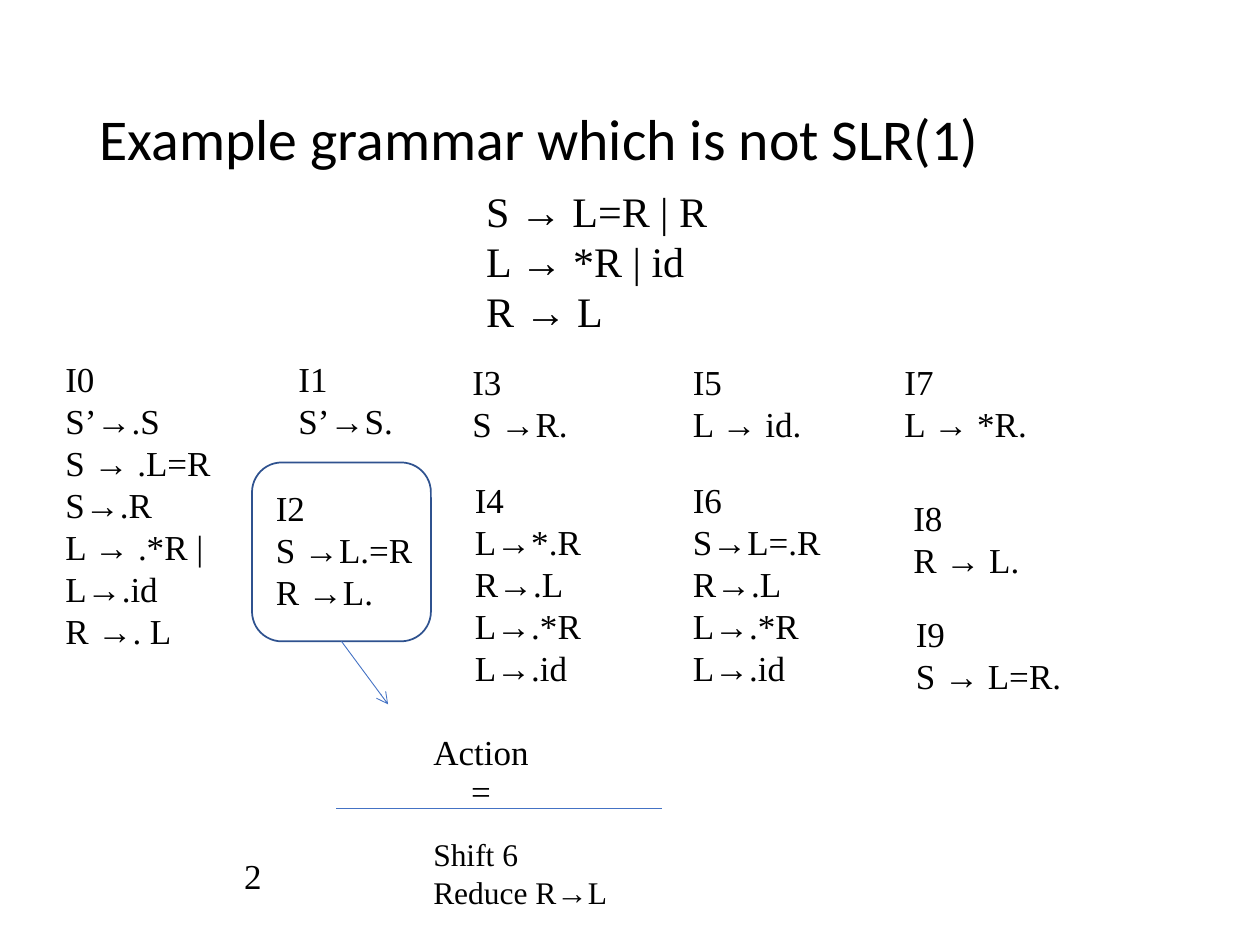
import pptx
import pptx.util
import pptx.dml.color
import pptx.enum.shapes
import pptx.enum.text
import pptx.oxml
import pptx.oxml.ns

WIDE, HIGH = 10, 7.5
COLS, ROWS = 100, 75
SLACK = 0.3
SERIF = "Times New Roman"
BLACK, BLUE, NAVY = "000000", "4472C4", "2F528F"

STATES = [
    (0, 0, 14.2, ["I0", "S’→.S", "S → .L=R", "S→.R", "L → .*R |", "L→.id", "R →. L"]),
    (18.5, 0, 9.5, ["I1", "S’→S."]),
    (16.7, 10.2, 13.5, ["I2", "S →L.=R", "R →L."]),
    (32.3, 0.2, 9.6, ["I3", "S →R."]),
    (32.5, 9.6, 10.4, ["I4", "L→*.R", "R→.L", "L→.*R", "L→.id"]),
    (49.8, 0.2, 10.7, ["I5", "L → id."]),
    (49.8, 9.6, 12.1, ["I6", "S→L=.R", "R→.L", "L→.*R", "L→.id"]),
    (66.6, 0.2, 11.8, ["I7", "L → *R."]),
    (67.3, 11, 10.4, ["I8", "R → L."]),
    (67.5, 20.2, 13.5, ["I9", "S → L=R."]),
]


def across(cols):
    return pptx.util.Inches(cols * WIDE / COLS)


def down(rows):
    return pptx.util.Inches(rows * HIGH / ROWS)


def place(x, y, w, h):
    return across(x), down(y), across(w), down(h)


def paint(text):
    return pptx.dml.color.RGBColor.from_string(text)


def style(frame, size, face):
    for para in frame.paragraphs:
        para.alignment = pptx.enum.text.PP_ALIGN.LEFT
        for run in para.runs:
            run.font.size = pptx.util.Pt(size)
            run.font.name = face
            run.font.color.rgb = paint(BLACK)


def write(slide, x, y, w, lines, size=20):
    high = 1 + len(lines) * size / 6
    frame = slide.shapes.add_textbox(*place(x, y, w + SLACK, high)).text_frame
    frame.word_wrap = False
    frame.auto_size = pptx.enum.text.MSO_AUTO_SIZE.SHAPE_TO_FIT_TEXT
    frame.text = "\n".join(lines)
    style(frame, size, SERIF)


def draw(slide, x, y, dx, dy, arrow=False):
    line = slide.shapes.add_connector(
        pptx.enum.shapes.MSO_CONNECTOR.STRAIGHT,
        across(x), down(y), across(x + dx), down(y + dy))
    line.line.color.rgb = paint(BLUE)
    line.line.width = pptx.util.Pt(0.5)
    props = line._element.spPr
    space = pptx.oxml.ns.nsdecls("a")
    if arrow:
        tip = pptx.oxml.parse_xml(f'<a:tailEnd {space} type="arrow"/>')
        props.find(pptx.oxml.ns.qn("a:ln")).append(tip)
    props.append(pptx.oxml.parse_xml(f"<a:effectLst {space}/>"))


def head(slide, box):
    title = slide.shapes.title
    title.left, title.top, title.width, title.height = place(*box)
    frame = title.text_frame
    frame.text = "Example grammar which is not SLR(1)"
    frame.auto_size = pptx.enum.text.MSO_AUTO_SIZE.NONE
    frame.vertical_anchor = pptx.enum.text.MSO_ANCHOR.MIDDLE
    frame.paragraphs[0].line_spacing = 0.9
    style(frame, 33, "Calibri")


def rules(slide, box):
    x, y, w = box
    write(slide, x, y, w, ["S → L=R | R", "L → *R | id", "R → L"], 24)


def states(slide, box):
    x, y = box
    for dx, dy, wide, lines in STATES:
        write(slide, x + dx, y + dy, wide, lines)
    side = 14.2
    left, top = x + 15.8, y + 8.8
    ring = slide.shapes.add_shape(
        pptx.enum.shapes.MSO_SHAPE.ROUNDED_RECTANGLE,
        *place(left, top, side, side))
    ring.shadow.inherit = False
    ring.fill.background()
    ring.line.color.rgb = paint(NAVY)
    ring.line.width = pptx.util.Pt(1)
    draw(slide, left + side / 2, top + side, 3.7, 5, True)


def action(slide, box):
    x, y = box
    draw(slide, x + 8.3, y + 6.7, 25.8, 0)
    write(slide, x + 15, y, 9.6, ["Action"])
    write(slide, x + 18, y + 3.1, 3.5, ["="])
    write(slide, x, y + 9.8, 3.4, ["2"])
    write(slide, x + 15, y + 8.3, 15.8, ["Shift 6", "Reduce R→L"], 18)


def main():
    deck = pptx.Presentation()
    deck.slide_width = pptx.util.Inches(WIDE)
    deck.slide_height = pptx.util.Inches(HIGH)
    slide = deck.slides.add_slide(deck.slide_layouts.get_by_name("Title Only"))
    head(slide, (6.9, 4, 86.3, 14.5))
    rules(slide, (37.6, 14.2, 19.5))
    states(slide, (4.2, 27.9))
    action(slide, (18.4, 57.5))
    deck.save("out.pptx")


if __name__ == "__main__":
    main()
